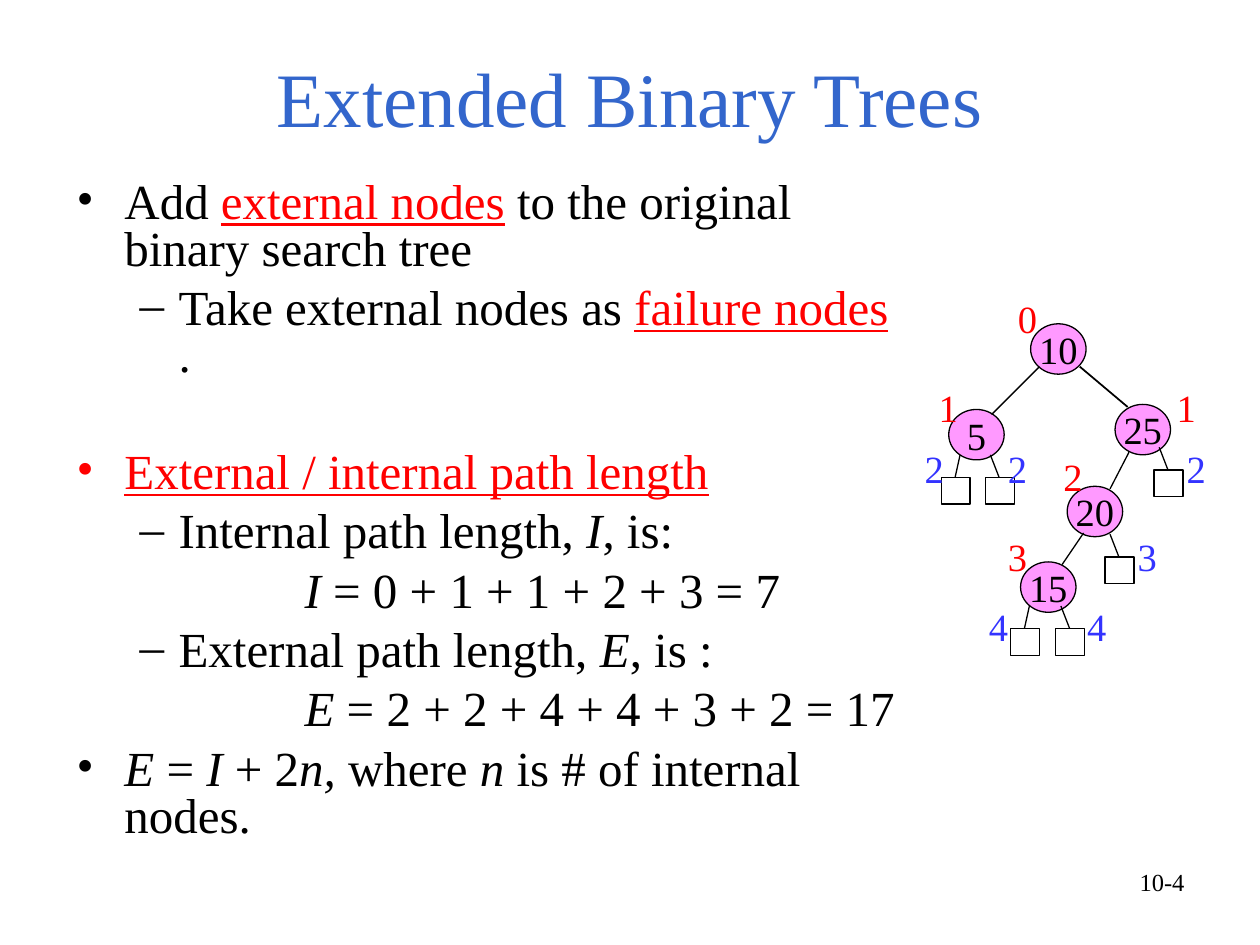
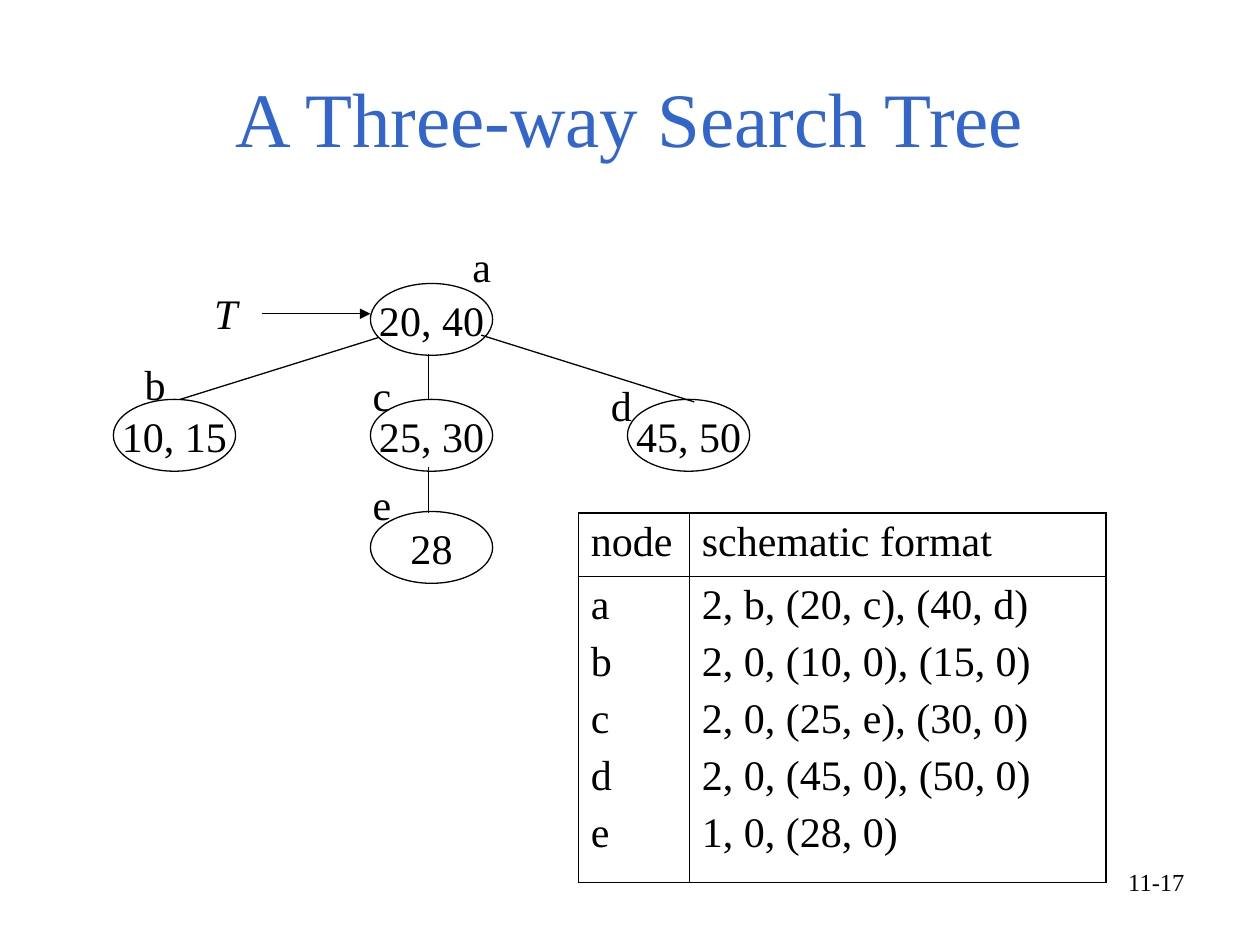
from lxml import etree
from pptx import Presentation
from pptx import util as u
from pptx.dml.color import RGBColor
from pptx.enum import shapes, text
from pptx.oxml import ns

FONT = "Times New Roman"
COLORS = {
    "title": "3366CC",
    "ink": "000000",
    "key": "FF0000",
    "external": "3333FF",
    "node": "FF99FF",
}


def write(para, words, size, color="ink", italic=False, underline=False):
    span = para.add_run()
    span.text = words
    span.font.name = FONT
    span.font.size = u.Pt(size)
    span.font.italic = italic
    span.font.underline = underline
    span.font.color.rgb = RGBColor.from_string(COLORS[color])


def add_element(parent, tag, **attributes):
    return etree.SubElement(parent, ns.qn(tag), attributes)


deck = Presentation()
deck.slide_width = u.Inches(10)
deck.slide_height = u.Inches(7.5)

pages = []
for title, title_top, number in [
    ("Extended Binary Trees", 0.14, "10-4"),
    ("A Three-way Search Tree", 0.3, "11-17"),
]:
    page = deck.slides.add_slide(deck.slide_layouts[6])
    pages.append(page)
    for words, left, top, width, height, size, color, align, anchor in [
        (title, 0.5, title_top, 9, 1.25, 44, "title", text.PP_ALIGN.CENTER, text.MSO_ANCHOR.MIDDLE),
        (number, 7.17, 6.83, 2.33, 0.52, 14, "ink", text.PP_ALIGN.RIGHT, text.MSO_ANCHOR.TOP),
    ]:
        box = page.shapes.add_textbox(u.Inches(left), u.Inches(top), u.Inches(width), u.Inches(height))
        box.text_frame.word_wrap = True
        box.text_frame.vertical_anchor = anchor
        para = box.text_frame.paragraphs[0]
        para.alignment = align
        write(para, words, size, color)
binary_page, three_way_page = pages

PLAIN, ITALIC, KEY = {}, {"italic": True}, {"color": "key", "underline": True}
LEVELS = {"point": (0.38, -0.38, "•"), "detail": (0.81, -0.31, "–"), "formula": (1.81, 0, None)}
body = [
    ("point", "ink", 0, [("Add ", PLAIN), ("external nodes", KEY), (" to the original binary search tree", PLAIN)]),
    ("detail", "ink", 7, [("Take external nodes as ", PLAIN), ("failure nodes", KEY), (" .", PLAIN)]),
    ("point", "key", 40, [("External / internal path length", KEY)]),
    ("detail", "ink", 7, [("Internal path length, ", PLAIN), ("I", ITALIC), (", is:", PLAIN)]),
    ("formula", "ink", 7, [("I", ITALIC), (" = 0 + 1 + 1 + 2 + 3 = 7", PLAIN)]),
    ("detail", "ink", 7, [("External path length, ", PLAIN), ("E", ITALIC), (", is :", PLAIN)]),
    ("formula", "ink", 7, [("E", ITALIC), (" = 2 + 2 + 4 + 4 + 3 + 2 = 17", PLAIN)]),
    ("point", "ink", 7, [
        ("E", ITALIC), (" = ", PLAIN), ("I", ITALIC), (" + 2", PLAIN), ("n, ", ITALIC),
        ("where ", PLAIN), ("n", ITALIC), (" is # of internal nodes.", PLAIN),
    ]),
]
box = binary_page.shapes.add_textbox(u.Inches(0.51), u.Inches(1.39), u.Inches(6.73), u.Inches(5.75))
frame = box.text_frame
frame.word_wrap = True
for index, (level, bullet_color, space_before, spans) in enumerate(body):
    para = frame.add_paragraph() if index else frame.paragraphs[0]
    margin, indent, bullet = LEVELS[level]
    properties = para._p.get_or_add_pPr()
    properties.set("marL", str(u.Inches(margin)))
    properties.set("indent", str(u.Inches(indent)))
    if bullet:
        add_element(add_element(properties, "a:buClr"), "a:srgbClr", val=COLORS[bullet_color])
        add_element(properties, "a:buFont", typeface=FONT)
        add_element(properties, "a:buChar", char=bullet)
    para.line_spacing = 0.8
    para.space_before = u.Pt(space_before)
    for words, style in spans:
        write(para, words, 28, **style)

binary_nodes = [("10", 8.18, 2.57), ("25", 8.85, 3.21), ("20", 8.47, 3.86), ("15", 8.1, 4.46), ("5", 7.53, 3.25)]
three_way_nodes = [
    ("10, 15", 0.9, 3.17), ("45, 50", 4.98, 3.17), ("20, 40", 2.94, 2.25),
    ("25, 30", 2.94, 3.17), ("28", 2.94, 4.06),
]
for page, nodes, width, height, size, fill in [
    (binary_page, binary_nodes, 0.44, 0.4, 22, "node"),
    (three_way_page, three_way_nodes, 0.97, 0.57, 24, None),
]:
    for keys, left, top in nodes:
        node = page.shapes.add_shape(
            shapes.MSO_SHAPE.OVAL, u.Inches(left), u.Inches(top), u.Inches(width), u.Inches(height))
        node.shadow.inherit = False
        if fill:
            node.fill.solid()
            node.fill.fore_color.rgb = RGBColor.from_string(COLORS[fill])
        else:
            node.fill.background()
        node.line.color.rgb = RGBColor.from_string(COLORS["ink"])
        node.line.width = u.Pt(0.75)
        node.text_frame.word_wrap = False
        node.text_frame.vertical_anchor = text.MSO_ANCHOR.MIDDLE
        para = node.text_frame.paragraphs[0]
        para.alignment = text.PP_ALIGN.CENTER
        write(para, keys, size)

binary_edges = [
    (8.96, 3.59, 8.81, 3.88), (8.6, 4.23, 8.43, 4.48),
    (8.57, 2.91, 8.95, 3.23), (8.25, 2.91, 7.87, 3.29),
]
LEFT_STUB, RIGHT_STUB = 0.15, 0.04
for left, top, stub in [
    (7.47, 3.79, LEFT_STUB), (7.82, 3.79, RIGHT_STUB),
    (8.02, 4.99, LEFT_STUB), (8.38, 4.99, RIGHT_STUB),
    (8.77, 4.42, RIGHT_STUB), (9.16, 3.73, RIGHT_STUB),
]:
    leaf = binary_page.shapes.add_shape(
        shapes.MSO_SHAPE.RECTANGLE, u.Inches(left), u.Inches(top), u.Inches(0.23), u.Inches(0.21))
    leaf.shadow.inherit = False
    leaf.fill.background()
    leaf.line.color.rgb = RGBColor.from_string(COLORS["ink"])
    leaf.line.width = u.Pt(0.75)
    binary_edges.append((left + stub, top - 0.18, left + 0.11, top))

three_way_edges = [
    (3, 2.68, 1.43, 3.17), (3.82, 2.66, 5.51, 3.19),
    (3.4, 3.17, 3.4, 2.81), (3.4, 4.07, 3.4, 3.71),
]
root_arrow = (2.08, 2.49, 2.94, 2.49)
for page, edges in [(binary_page, binary_edges), (three_way_page, three_way_edges + [root_arrow])]:
    for edge in edges:
        line = page.shapes.add_connector(
            shapes.MSO_CONNECTOR.STRAIGHT, *[u.Inches(length) for length in edge])
        line.line.color.rgb = RGBColor.from_string(COLORS["ink"])
        line.line.width = u.Pt(1 if edge == binary_edges[2] else 0.75)
        if edge == root_arrow:
            add_element(line.line._get_or_add_ln(), "a:tailEnd", type="triangle")
        add_element(line._element.spPr, "a:effectLst")

internal_depths = [
    ("0", 7.98, 2.29), ("1", 7.35, 3), ("1", 9.24, 3), ("2", 8.34, 3.55), ("3", 7.9, 4.18),
]
external_depths = [
    ("2", 7.24, 3.48), ("2", 7.9, 3.48), ("2", 9.32, 3.48),
    ("3", 8.93, 4.18), ("4", 7.75, 4.74), ("4", 8.53, 4.74),
]
node_names = [("a", 3.65, 1.86), ("b", 1.05, 2.8), ("c", 2.86, 2.88), ("d", 4.75, 2.96), ("e", 2.86, 3.75)]
for page, labels, width, height, size, color, italic in [
    (binary_page, internal_depths, 0.35, 0.47, 22, "key", False),
    (binary_page, external_depths, 0.35, 0.47, 22, "external", False),
    (three_way_page, node_names, 0.32, 0.5, 24, "ink", False),
    (three_way_page, [("T", 1.6, 2.23)], 0.39, 0.5, 24, "ink", True),
]:
    for words, left, top in labels:
        box = page.shapes.add_textbox(u.Inches(left), u.Inches(top), u.Inches(width), u.Inches(height))
        box.text_frame.word_wrap = True
        write(box.text_frame.paragraphs[0], words, size, color, italic)

rows = [
    [["node"], ["schematic format"]],
    [
        ["a", "b", "c", "d", "e"],
        [
            "2, b, (20, c), (40, d)",
            "2, 0, (10, 0), (15, 0)",
            "2, 0, (25, e), (30, 0)",
            "2, 0, (45, 0), (50, 0)",
            "1, 0, (28, 0)",
        ],
    ],
]
table = three_way_page.shapes.add_table(
    2, 2, u.Inches(4.59), u.Inches(4.07), u.Inches(4.19), u.Inches(2.93)).table
table.first_row = False
table.horz_banding = False
for column, width in zip(table.columns, [0.88, 3.31]):
    column.width = u.Inches(width)
for row, height in zip(table.rows, [0.5, 2.43]):
    row.height = u.Inches(height)
for r, row in enumerate(rows):
    for c, entries in enumerate(row):
        cell = table.cell(r, c)
        properties = cell._tc.get_or_add_tcPr()
        for side, outer in [("L", c == 0), ("R", c == 1), ("T", r == 0), ("B", r == 1)]:
            border = add_element(properties, "a:ln" + side, w=str(u.Pt(1.08 if outer else 0.45)))
            add_element(add_element(border, "a:solidFill"), "a:srgbClr", val=COLORS["ink"])
        cell.fill.background()
        for index, words in enumerate(entries):
            para = cell.text_frame.add_paragraph() if index else cell.text_frame.paragraphs[0]
            para.space_before = u.Pt(6 if index else 0)
            write(para, words, 24)

deck.save("out.pptx")
